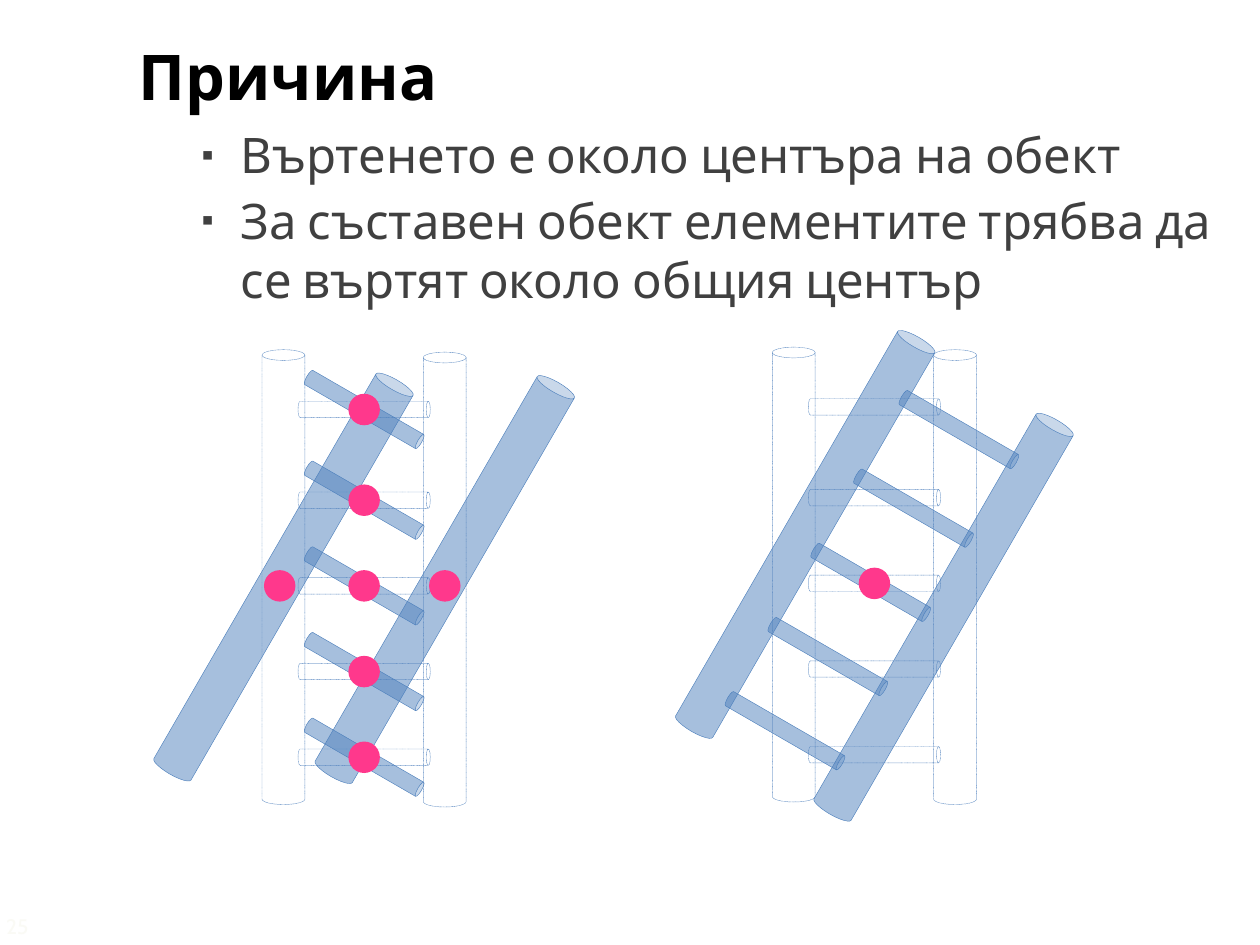
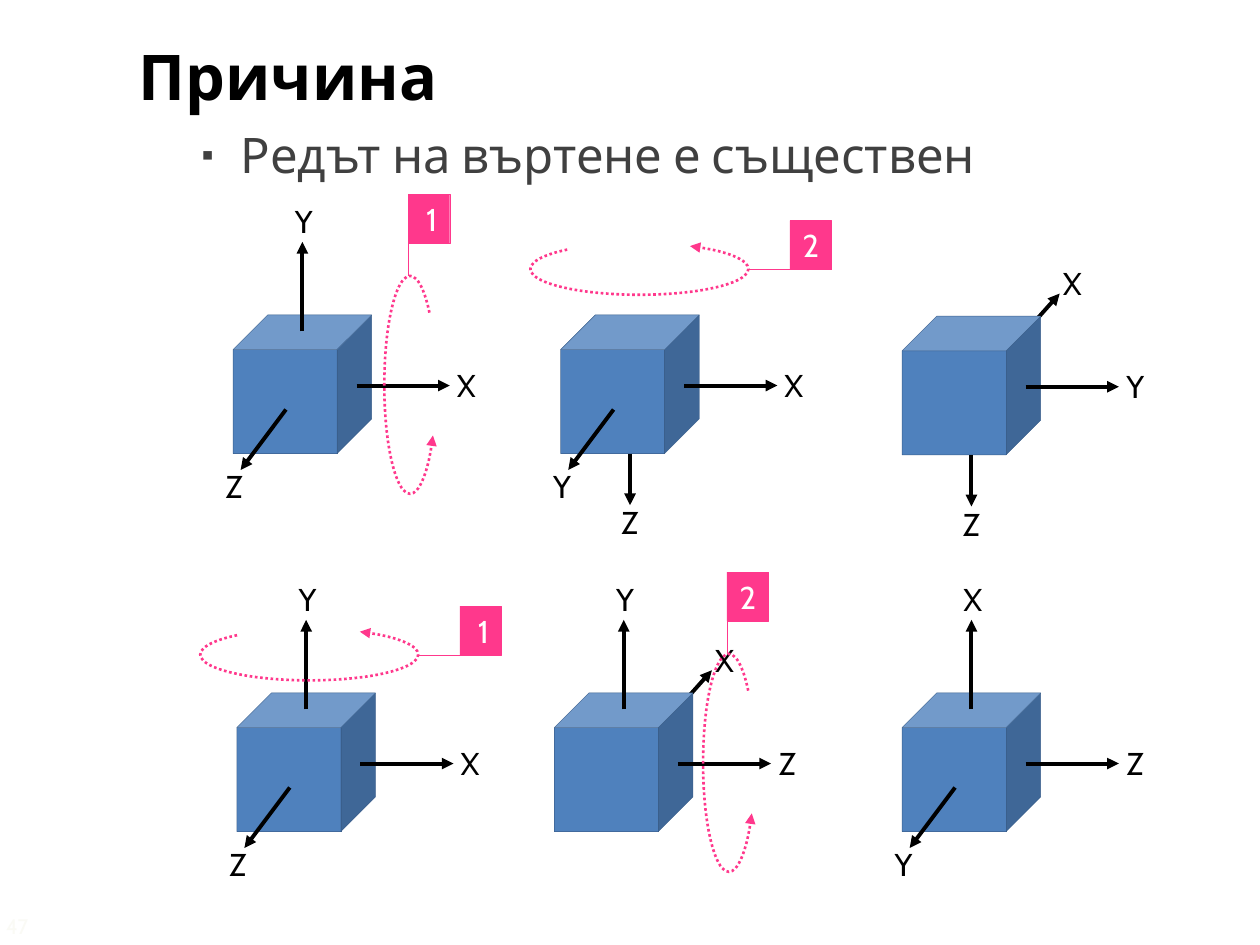
from math import cos, radians, sin

from lxml.etree import SubElement
from pptx import Presentation
from pptx.dml.color import RGBColor
from pptx.enum.dml import MSO_LINE
from pptx.enum.shapes import MSO_CONNECTOR, MSO_SHAPE
from pptx.enum.text import MSO_ANCHOR, MSO_AUTO_SIZE, PP_ALIGN
from pptx.oxml.ns import qn
from pptx.util import Inches, Pt

BLACK = RGBColor(0x00, 0x00, 0x00)
WHITE = RGBColor(0xFF, 0xFF, 0xFF)
GREY = RGBColor(0x40, 0x40, 0x40)
PALE = RGBColor(0xFA, 0xFA, 0xF5)
BLUE = RGBColor(0x4F, 0x81, 0xBD)
DARK_BLUE = RGBColor(0x3A, 0x5F, 0x8C)
PINK = RGBColor(0xFF, 0x38, 0x8C)
FONT = "Cabin"
TITLE = "Причина"

# Ladder, measured from its centre
RUNG_OFFSETS = [-1.34, -0.62, 0.06, 0.74, 1.42]
RAIL_OFFSETS = [(0.64, 0.01), (-0.64, -0.01)]
RAIL_DOT_OFFSETS = [0.64, -0.67]
RUNG_SIZE = (0.13, 1.05)
RAIL_SIZE = (0.34, 3.61)
TILT = 30
DOT_SIZE = 0.25

# Axis start, end and label corner, measured from the corner of the cube
CUBE_SIZE = 1.1
AXES = {
    "back": ((0.42, 0.75), (1.25, -0.18), (1.14, -0.52)),
    "right": ((0.98, 0.56), (1.72, 0.56), (1.64, 0.3)),
    "front": ((0.42, 0.75), (0.06, 1.23), (-0.2, 1.1)),
    "up": ((0.55, 0.13), (0.55, -0.58), (0.35, -1.0)),
    "down": ((0.55, 1.1), (0.55, 1.51), (0.34, 1.39)),
}
LABEL_SIZE = (0.42, 0.51)
ARC_SIZE = (0.41, 1.73)
ARC_DEGREES = (255, 114.33)
ARC_UNITS_PER_DEGREE = 0.6
TAG_SIZE = (0.33, 0.39)


def write_text(frame, text, size, color, bold=False, align=PP_ALIGN.LEFT,
               anchor=MSO_ANCHOR.TOP):
    """Write one paragraph for each line of text."""
    frame.word_wrap = True
    frame.auto_size = MSO_AUTO_SIZE.NONE
    frame.vertical_anchor = anchor
    frame.text = text
    for paragraph in frame.paragraphs:
        paragraph.alignment = align
        paragraph.line_spacing = 1.0
        font = paragraph.font
        font.name, font.size, font.bold = FONT, Pt(size), bold
        font.color.rgb = color
    return frame.paragraphs


def place(shape, left, top, width, height):
    shape.left, shape.top = Inches(left), Inches(top)
    shape.width, shape.height = Inches(width), Inches(height)


def add_plain_shape(shapes, kind, left, top, size, fill=None, alpha=None,
                    line=None, line_width=0.25, dash=None):
    shape = shapes.add_shape(kind, Inches(left), Inches(top),
                             Inches(size[0]), Inches(size[1]))
    shape.shadow.inherit = False
    if fill is None:
        shape.fill.background()
    else:
        shape.fill.solid()
        shape.fill.fore_color.rgb = fill
    if alpha is not None:
        color = shape.fill._xPr.find(qn("a:solidFill"))[0]
        SubElement(color, qn("a:alpha"), val=str(alpha * 1000))
    if line is None:
        shape.line.fill.background()
    else:
        shape.line.color.rgb = line
        shape.line.width = Pt(line_width)
        if dash:
            shape.line.dash_style = dash
    return shape


def add_arrowhead(line):
    SubElement(line._get_or_add_ln(), qn("a:tailEnd"), type="triangle")


def add_line(shapes, start, end, color, width, arrow=False):
    connector = shapes.add_connector(MSO_CONNECTOR.STRAIGHT,
                                     *map(Inches, (*start, *end)))
    connector.line.color.rgb = color
    connector.line.width = Pt(width)
    if arrow:
        add_arrowhead(connector.line)
    SubElement(connector._element.spPr, qn("a:effectLst"))


def add_bullet(paragraph):
    properties = paragraph._p.get_or_add_pPr()
    properties.set("marL", str(Inches(0.81)))
    properties.set("indent", str(Inches(-0.31)))
    color = SubElement(properties, qn("a:buClr"))
    SubElement(color, qn("a:srgbClr"), val=str(GREY))
    SubElement(properties, qn("a:buSzPct"), val="70000")
    SubElement(properties, qn("a:buFont"), typeface="Arial")
    SubElement(properties, qn("a:buChar"), char="▪")


def add_topic_slide(presentation, bullets, number):
    """Add a slide with the shared title, its list and its page number."""
    slide = presentation.slides.add_slide(presentation.slide_layouts[1])
    title, body = slide.placeholders
    place(title, 1, 0.25, 8.92, 0.75)
    write_text(title.text_frame, TITLE, 36, BLACK, bold=True)
    place(body, 1, 0.94, 8.92, 1.7)
    for paragraph in write_text(body.text_frame, "\n".join(bullets), 28, GREY):
        paragraph.space_before = Pt(4)
        add_bullet(paragraph)
    page = slide.shapes.add_textbox(0, 0, 0, 0)
    place(page, -0.05, 7.2, 0.5, 0.3)
    write_text(page.text_frame, str(number), 12, PALE, anchor=MSO_ANCHOR.MIDDLE)
    return slide


def add_ladder(slide, center, tilt=0, together=True, **style):
    """Draw a ladder whose parts tilt about its centre, or each about its own."""
    group = slide.shapes.add_group_shape()
    angle = radians(tilt if together else 0)
    parts = [(0, y, RUNG_SIZE, 90) for y in RUNG_OFFSETS]
    parts += [(x, y, RAIL_SIZE, 0) for x, y in RAIL_OFFSETS]
    for x, y, size, rotation in parts:
        part_x = center[0] + x * cos(angle) - y * sin(angle)
        part_y = center[1] + x * sin(angle) + y * cos(angle)
        can = add_plain_shape(group.shapes, MSO_SHAPE.CAN, part_x - size[0] / 2,
                              part_y - size[1] / 2, size, line=BLUE, **style)
        can.rotation = rotation + tilt


def add_dot(slide, x, y):
    add_plain_shape(slide.shapes, MSO_SHAPE.OVAL, x - DOT_SIZE / 2,
                    y - DOT_SIZE / 2, (DOT_SIZE, DOT_SIZE), fill=PINK)


def add_ladder_pair(slide, center, together):
    """Draw a dotted upright ladder and the same one tilted over it."""
    x, y = center
    add_ladder(slide, center, dash=MSO_LINE.ROUND_DOT)
    add_ladder(slide, center, TILT, together, fill=BLUE, alpha=50)
    middle = RUNG_OFFSETS[2]
    if together:
        add_dot(slide, x, y + middle)
    else:
        for offset in RUNG_OFFSETS:
            add_dot(slide, x, y + offset)
        for offset in RAIL_DOT_OFFSETS:
            add_dot(slide, x + offset, y + middle)


def add_axis(slide, left, top, direction, letter):
    start, end, corner = ((left + x, top + y) for x, y in AXES[direction])
    add_line(slide.shapes, start, end, BLACK, 2.25, arrow=True)
    label = slide.shapes.add_textbox(*map(Inches, (*corner, *LABEL_SIZE)))
    write_text(label.text_frame, letter, 18, BLACK, align=PP_ALIGN.CENTER,
               anchor=MSO_ANCHOR.MIDDLE)


def add_cube(slide, left, top, letters):
    """Draw a cube and its axes; the axis to the back lies behind the cube."""
    if "back" in letters:
        add_axis(slide, left, top, "back", letters["back"])
    add_plain_shape(slide.shapes, MSO_SHAPE.CUBE, left, top,
                    (CUBE_SIZE, CUBE_SIZE), fill=BLUE, line=DARK_BLUE)
    for direction, letter in letters.items():
        if direction != "back":
            add_axis(slide, left, top, direction, letter)


def add_turn(slide, left, top, number, flat):
    """Draw a dotted turning arrow, upright or flat, with its numbered tag."""
    if flat:
        tag_x, tag_y = left + 1.4, top + 0.48
        line_y = tag_y + TAG_SIZE[1]
        start, end = (left + 1.06, line_y), (tag_x + TAG_SIZE[0], line_y)
    else:
        tag_x, tag_y = left + 0.19, top - 0.65
        start, end = (tag_x, top), (tag_x, tag_y)
    tag = add_plain_shape(slide.shapes, MSO_SHAPE.RECTANGLE, tag_x, tag_y,
                          TAG_SIZE, fill=PINK, line=PINK)
    write_text(tag.text_frame, str(number), 18, WHITE, align=PP_ALIGN.RIGHT,
               anchor=MSO_ANCHOR.MIDDLE)
    add_line(slide.shapes, start, end, PINK, 0.5)
    arc = add_plain_shape(slide.shapes, MSO_SHAPE.ARC, left, top, ARC_SIZE,
                          line=PINK, line_width=1.5, dash=MSO_LINE.ROUND_DOT)
    for index, degrees in enumerate(ARC_DEGREES):
        arc.adjustments[index] = degrees * ARC_UNITS_PER_DEGREE
    arc.rotation = 270 if flat else 0
    arc._element.spPr.find(qn("a:xfrm")).set("flipH", "1")
    add_arrowhead(arc.line)


def build_center_slide(presentation):
    slide = add_topic_slide(presentation, [
        "Въртенето е около центъра на обект",
        "За съставен обект елементите трябва да се въртят около общия център",
    ], 25)
    add_ladder_pair(slide, (2.89, 4.59), together=False)
    add_ladder_pair(slide, (6.94, 4.57), together=True)


def build_order_slide(presentation):
    slide = add_topic_slide(presentation, ["Редът на въртене е съществен"], 47)
    cubes = [
        (1.85, 2.5, {"right": "X", "front": "Z", "up": "Y"}),
        (4.45, 2.5, {"right": "X", "front": "Y", "down": "Z"}),
        (7.16, 2.51, {"back": "X", "right": "Y", "down": "Z"}),
        (1.88, 5.5, {"right": "X", "front": "Z", "up": "Y"}),
        (4.4, 5.5, {"back": "X", "right": "Z", "up": "Y"}),
        (7.16, 5.5, {"right": "Z", "front": "Y", "up": "X"}),
    ]
    for left, top, letters in cubes:
        add_cube(slide, left, top, letters)
    add_turn(slide, 3.05, 2.19, 1, flat=False)
    add_turn(slide, 4.87, 1.27, 2, flat=True)
    add_turn(slide, 2.25, 4.33, 1, flat=True)
    add_turn(slide, 5.58, 5.19, 2, flat=False)


def main():
    presentation = Presentation()
    presentation.slide_width = Inches(10)
    presentation.slide_height = Inches(7.5)
    build_center_slide(presentation)
    build_order_slide(presentation)
    presentation.save("out.pptx")


if __name__ == "__main__":
    main()
